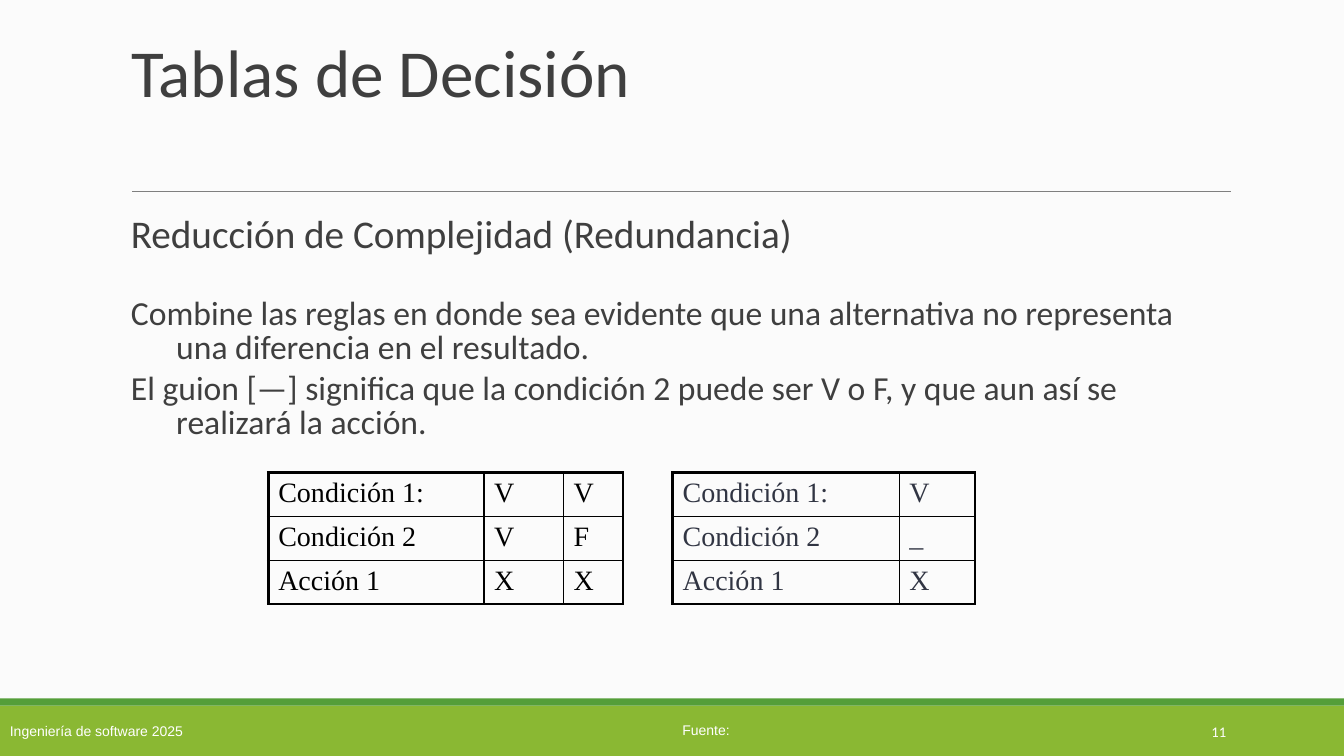
from pptx import Presentation
from pptx.dml.color import RGBColor
from pptx.enum.shapes import MSO_CONNECTOR, MSO_SHAPE
from pptx.enum.text import MSO_ANCHOR, PP_ALIGN
from pptx.oxml.ns import qn
from pptx.util import Emu, Pt
from lxml import etree

RECTANGLE = MSO_SHAPE.RECTANGLE
STRAIGHT = MSO_CONNECTOR.STRAIGHT
TOP, MIDDLE = MSO_ANCHOR.TOP, MSO_ANCHOR.MIDDLE
LEFT, RIGHT = PP_ALIGN.LEFT, PP_ALIGN.RIGHT

EMU_PER_PX = 9144
SLIDE_WIDTH, SLIDE_HEIGHT = 1333, 750
TITLE_BOX = (120, 31, 1100, 159)
BODY_BOX = (120, 210, 1087, 238)
FOOTER_BOX = (0, 693, SLIDE_WIDTH, 57)
TABLE_TOP, ROW_HEIGHT = 469, 41
THICK, THIN = 2.25, 1

INK, WHITE, BLACK, SLATE = "3F3F3F", "FFFFFF", "000000", "313543"
GREEN, DARK_GREEN, GREY, PAPER = "8AB833", "549E39", "7F7F7F", "FBFBFB"

BODY = [
    ("Reducción de Complejidad (Redundancia)", 28, 28, 4.5),
    ("Combine las reglas en donde sea evidente que una alternativa no "
     "representa una diferencia en el resultado.", 24, 45, 29.7),
    ("El guion [—] significa que la condición 2 puede ser V o F, y que aun "
     "así se realizará la acción.", 24, 45, 4.5),
]
LABELS = ["Condición 1:", "Condición 2", "Acción 1"]
TABLES = [
    (266, [214, 79, 59], ["VV", "VF", "XX"], BLACK),
    (667, [225, 75], ["V", "_", "X"], SLATE),
]


def px(length):
    """Turn whole pixels into EMU."""
    return Emu(length * EMU_PER_PX)


def colour(code):
    """Turn a hex string into a colour."""
    return RGBColor.from_string(code)


def format_para(para, size, font, code, align=LEFT):
    """Format a paragraph and its runs."""
    para.alignment = align
    for span in para.runs:
        span.font.size = Pt(size)
        span.font.name = font
        span.font.color.rgb = colour(code)


def set_frame(frame, anchor, top=5, wrap=True):
    """Set the insets, wrapping and anchor of a text frame."""
    frame.word_wrap = wrap
    frame.vertical_anchor = anchor
    frame.margin_left = frame.margin_right = px(10)
    frame.margin_top, frame.margin_bottom = px(top), px(5)


def add_band(page, box, code):
    """Add a plain filled rectangle."""
    band = page.shapes.add_shape(RECTANGLE, *map(px, box))
    band.shadow.inherit = False
    band.fill.solid()
    band.fill.fore_color.rgb = colour(code)
    band.line.fill.background()
    return band


def add_label(page, box, text, size, font, align=LEFT, wrap=True):
    """Add a one-line white label."""
    frame = page.shapes.add_textbox(*map(px, box)).text_frame
    set_frame(frame, MIDDLE, wrap=wrap)
    frame.text = text
    format_para(frame.paragraphs[0], size, font, WHITE, align)


def add_footer(page, box):
    """Add the green bands with course, source and page number."""
    left, top, width, height = box
    band = add_band(page, (left, top + 7, width, height - 7), GREEN)
    set_frame(band.text_frame, MIDDLE, top=10)
    band.text_frame.margin_bottom = px(10)
    band.text_frame.text = "Ingeniería de software 2025"
    format_para(band.text_frame.paragraphs[0], 10, "Arial", WHITE)
    add_band(page, (left, top, width, 7), DARK_GREEN)
    add_label(page, (left + 667, top + 18, 67, 27), "Fuente:", 10, "Arial",
              wrap=False)
    add_label(page, (left + 1083, top + 13, 143, 40), "11", 10.5, "Calibri",
              RIGHT)


def add_title(page, box):
    """Place the title and the rule that closes its box."""
    left, top, width, height = box
    title = page.shapes.title
    title.left, title.top, title.width, title.height = map(px, box)
    set_frame(title.text_frame, TOP, top=11)
    title.text_frame.text = "Tablas de Decisión"
    para = title.text_frame.paragraphs[0]
    para.line_spacing = 0.85
    format_para(para, 48, "Calibri", INK)
    base = top + height
    rule = page.shapes.add_connector(
        STRAIGHT, px(left + 11), px(base), px(left + width + 1), px(base))
    rule.line.color.rgb = colour(GREY)
    rule.line.width = Pt(0.75)
    etree.SubElement(rule.element.spPr, qn("a:effectLst"))


def add_body(page, box):
    """Add the heading and its hanging paragraphs."""
    frame = page.shapes.add_textbox(*map(px, box)).text_frame
    set_frame(frame, TOP)
    frame.text = "\n".join(text for text, *_ in BODY)
    for para, (_, size, hang, gap) in zip(frame.paragraphs, BODY):
        para.line_spacing = 0.85
        para.space_before = Pt(gap)
        format_para(para, size, "Calibri", INK)
        properties = para._p.get_or_add_pPr()
        properties.set("marL", str(px(hang)))
        properties.set("indent", str(px(-hang)))


def set_borders(cell, thick_sides):
    """Draw black borders, thick on the given sides and thin elsewhere."""
    properties = cell._tc.get_or_add_tcPr()
    for side in "LRTB":
        width = Pt(THICK if side in thick_sides else THIN)
        line = etree.SubElement(properties, qn("a:ln" + side), w=str(width))
        fill = etree.SubElement(line, qn("a:solidFill"))
        etree.SubElement(fill, qn("a:srgbClr"), val=BLACK)


def add_decision_table(page, left, top, widths, marks, code):
    """Add a decision table with a thick outer frame."""
    rows, columns = len(LABELS), len(widths)
    table = page.shapes.add_table(
        rows, columns, px(left), px(top), px(sum(widths)),
        px(rows * ROW_HEIGHT)).table
    table.first_row = table.horz_banding = False
    for column, width in zip(table.columns, widths):
        column.width = px(width)
    for row, (label, values) in enumerate(zip(LABELS, marks)):
        for column, text in enumerate([label, *values]):
            cell = table.cell(row, column)
            cell.margin_left = cell.margin_right = px(10)
            cell.margin_top = cell.margin_bottom = px(5)
            cell.text = text
            format_para(cell.text_frame.paragraphs[0], 20,
                        "Times New Roman", code)
            edges = {"L": column == 0, "R": column == columns - 1,
                     "T": row == 0, "B": row == rows - 1}
            set_borders(cell, [side for side in edges if edges[side]])
            cell.fill.background()


def main():
    """Build the slide and save it."""
    deck = Presentation()
    deck.slide_width, deck.slide_height = px(SLIDE_WIDTH), px(SLIDE_HEIGHT)
    page = deck.slides.add_slide(deck.slide_layouts.get_by_name("Title Only"))
    page.background.fill.solid()
    page.background.fill.fore_color.rgb = colour(PAPER)
    add_footer(page, FOOTER_BOX)
    add_title(page, TITLE_BOX)
    add_body(page, BODY_BOX)
    for left, widths, marks, code in TABLES:
        add_decision_table(page, left, TABLE_TOP, widths, marks, code)
    deck.save("out.pptx")


if __name__ == "__main__":
    main()
